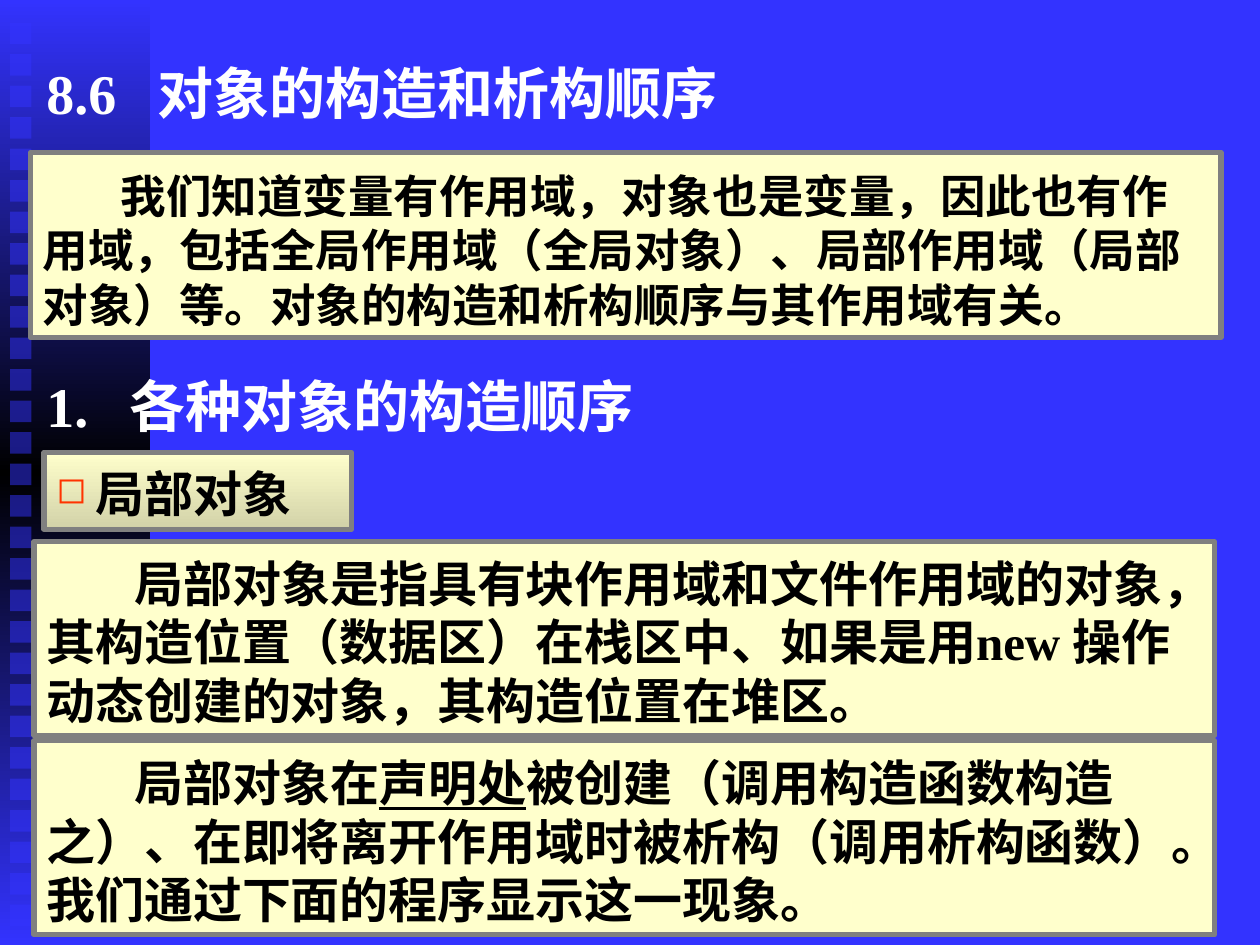
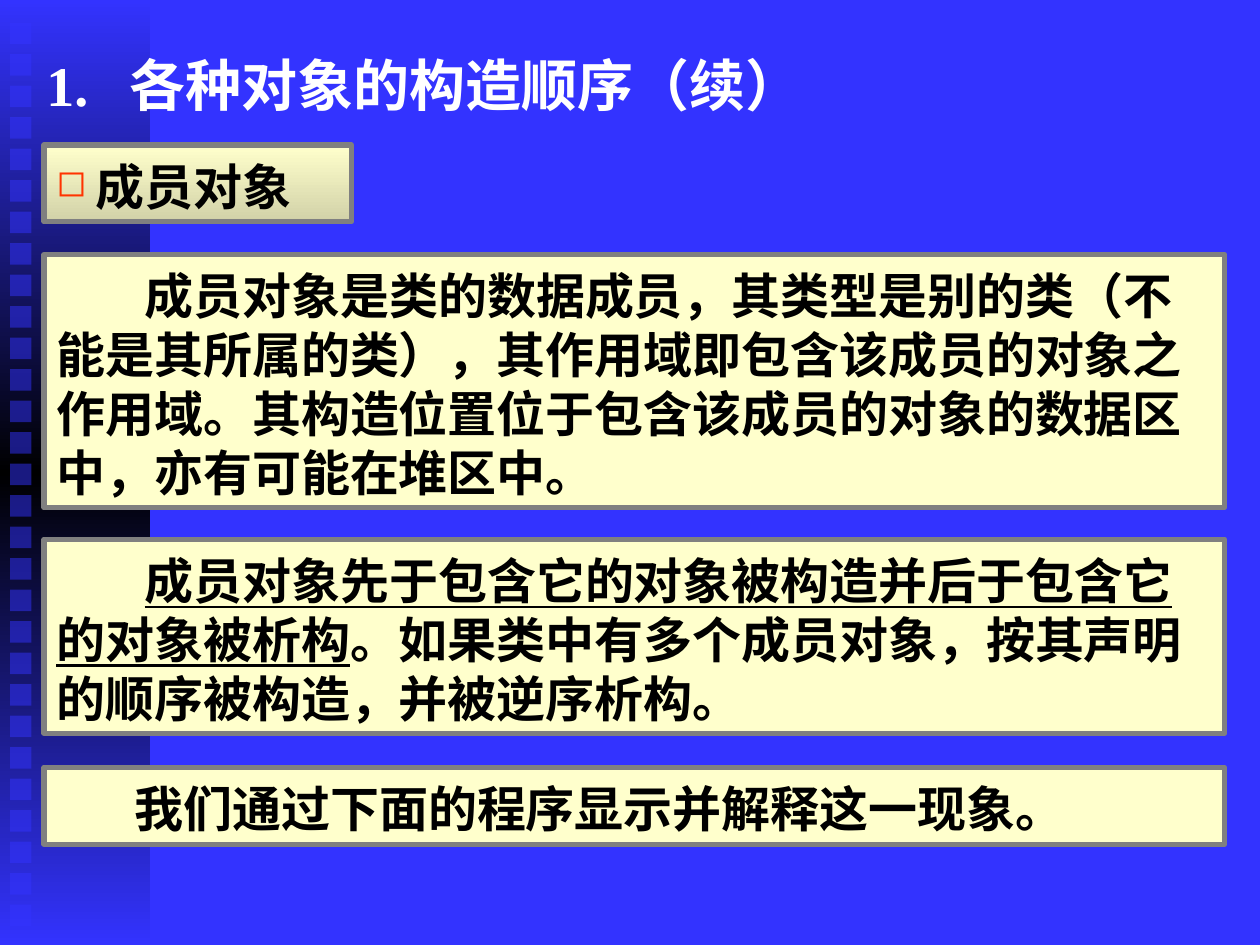
from pptx import Presentation
from pptx.dml.color import RGBColor
from pptx.enum.shapes import MSO_SHAPE
from pptx.enum.text import MSO_ANCHOR, MSO_AUTO_SIZE, PP_ALIGN
from pptx.oxml.ns import qn
from pptx.oxml.xmlchemy import OxmlElement
from pptx.util import Inches, Pt

RECTANGLE = MSO_SHAPE.RECTANGLE
TOP, MIDDLE = MSO_ANCHOR.TOP, MSO_ANCHOR.MIDDLE
FIT_SHAPE = MSO_AUTO_SIZE.SHAPE_TO_FIT_TEXT
LEFT = PP_ALIGN.LEFT

COLORS = {
    "blue": "3333FF",
    "black": "000000",
    "white": "FFFFFF",
    "cream": "FFFFCC",
    "khaki": "D2D2A8",
    "gray": "808080",
    "bullet": "FF3300",
}
FONT = "Times New Roman"
BOX_WIDTH = 9.37
THREE_LINES = 1.54


def rgb(name):
    return RGBColor.from_string(COLORS[name])


def add_child(parent, tag, **attributes):
    child = OxmlElement(tag)
    for key, value in attributes.items():
        child.set(key, str(value))
    parent.append(child)
    return child


def fill_gradient(shape, names):
    shape.fill.gradient()
    shape.fill.gradient_angle = 270
    stops = shape._element.spPr.find(".//" + qn("a:gsLst"))
    for stop in list(stops):
        stops.remove(stop)
    for i, name in enumerate(names):
        stop = add_child(stops, "a:gs", pos=100000 * i // (len(names) - 1))
        add_child(stop, "a:srgbClr", val=COLORS[name])


def add_rectangle(shapes, left, top, width, height):
    rectangle = shapes.add_shape(
        RECTANGLE, Inches(left), Inches(top), Inches(width), Inches(height))
    rectangle.shadow.inherit = False
    return rectangle


def add_side_band(slide):
    band = slide.shapes.add_group_shape().shapes
    strip = add_rectangle(band, 0, 0, 1.19, 7.5)
    fill_gradient(strip, ["blue", "black", "blue"])
    strip.line.fill.background()
    for i in range(29):
        square = add_rectangle(band, 0.08, 0.18 + 0.25 * i, 0.17, 0.17)
        square.fill.solid()
        square.fill.fore_color.rgb = rgb("blue")
        color = square._element.spPr.find(".//" + qn("a:srgbClr"))
        add_child(color, "a:alpha", val=50000)
        square.line.fill.background()


def style_paragraph(paragraph, size, color):
    paragraph.alignment = LEFT
    paragraph.font.name = FONT
    paragraph.font.size = Pt(size)
    paragraph.font.bold = True
    paragraph.font.color.rgb = rgb(color)


def add_heading(slide, top, number, text, tab):
    heading = slide.shapes.add_textbox(
        Inches(0.27), Inches(top), Inches(BOX_WIDTH), Inches(0.91))
    frame = heading.text_frame
    frame.word_wrap = True
    frame.vertical_anchor = MIDDLE
    paragraph = frame.paragraphs[0]
    paragraph.text = f"{number}\t{text}"
    tabs = add_child(paragraph._p.get_or_add_pPr(), "a:tabLst")
    add_child(tabs, "a:tab", pos=Inches(tab), algn="l")
    style_paragraph(paragraph, 32, "white")


def add_framed_box(slide, left, top, width, height, top_inset=0.09):
    box = add_rectangle(slide.shapes, left, top, width, height)
    box.line.color.rgb = rgb("gray")
    box.line.width = Pt(3)
    frame = box.text_frame
    frame.word_wrap = True
    frame.auto_size = FIT_SHAPE
    frame.vertical_anchor = TOP
    frame.margin_top = Inches(top_inset)
    return box


def add_topic(slide, top, text):
    topic = add_framed_box(slide, 0.35, top, 2.44, 0.61)
    fill_gradient(topic, ["cream", "khaki"])
    paragraph = topic.text_frame.paragraphs[0]
    paragraph.text = text
    properties = paragraph._p.get_or_add_pPr()
    properties.set("marL", str(Inches(0.31)))
    properties.set("indent", str(-Inches(0.31)))
    bullet_color = add_child(properties, "a:buClr")
    add_child(bullet_color, "a:srgbClr", val=COLORS["bullet"])
    add_child(properties, "a:buSzPct", val=75000)
    add_child(properties, "a:buChar", char="◻")
    style_paragraph(topic.text_frame.paragraphs[0], 28, "black")


def add_explanation(slide, left, top, height, parts, width=BOX_WIDTH,
                    size=28, indent=0.7, top_inset=0.09):
    box = add_framed_box(slide, left, top, width, height, top_inset)
    box.fill.solid()
    box.fill.fore_color.rgb = rgb("cream")
    paragraph = box.text_frame.paragraphs[0]
    paragraph._p.get_or_add_pPr().set("indent", str(Inches(indent)))
    for text, underlined in parts:
        run = paragraph.add_run()
        run.text = text
        if underlined:
            run.font.underline = True
    style_paragraph(paragraph, size, "black")


def add_slide(presentation):
    slide = presentation.slides.add_slide(presentation.slide_layouts[6])
    add_side_band(slide)
    return slide


def build_local_objects(presentation):
    slide = add_slide(presentation)
    add_heading(slide, 0.28, "8.6", "对象的构造和析构顺序", 0.88)
    add_heading(slide, 2.76, "1.", "各种对象的构造顺序", 0.66)
    add_explanation(slide, 0.24, 1.21, 1.47, [
        ("我们知道变量有作用域，对象也是变量，因此也有作用域，"
         "包括全局作用域（全局对象）、局部作用域（局部对象）等。"
         "对象的构造和析构顺序与其作用域有关。", False),
    ], width=9.45, size=26, indent=0.62, top_inset=0.12)
    add_topic(slide, 3.59, "局部对象")
    add_explanation(slide, 0.27, 4.3, THREE_LINES, [
        ("局部对象是指具有块作用域和文件作用域的对象，"
         "其构造位置（数据区）在栈区中、如果是用new "
         "操作动态创建的对象，其构造位置在堆区。", False),
    ])
    add_explanation(slide, 0.27, 5.88, THREE_LINES, [
        ("局部对象在", False),
        ("声明处", True),
        ("被创建（调用构造函数构造之）、在即将离开作用域时被析构"
         "（调用析构函数）。我们通过下面的程序显示这一现象。", False),
    ])


def build_member_objects(presentation):
    slide = add_slide(presentation)
    add_heading(slide, 0.21, "1.", "各种对象的构造顺序（续）", 0.66)
    add_topic(slide, 1.15, "成员对象")
    add_explanation(slide, 0.35, 2.02, 2.01, [
        ("成员对象是类的数据成员，其类型是别的类（不能是其所属的类），"
         "其作用域即包含该成员的对象之作用域。"
         "其构造位置位于包含该成员的对象的数据区中，"
         "亦有可能在堆区中。", False),
    ])
    add_explanation(slide, 0.35, 4.28, THREE_LINES, [
        ("成员对象先于包含它的对象被构造并后于包含它的对象被析构", True),
        ("。如果类中有多个成员对象，按其声明的顺序被构造，"
         "并被逆序析构。", False),
    ])
    add_explanation(slide, 0.35, 6.09, 0.61, [
        ("我们通过下面的程序显示并解释这一现象。", False),
    ], indent=0.62)


def main():
    presentation = Presentation()
    presentation.slide_width = Inches(10)
    presentation.slide_height = Inches(7.5)
    background = presentation.slide_master.background.fill
    background.solid()
    background.fore_color.rgb = rgb("blue")
    build_local_objects(presentation)
    build_member_objects(presentation)
    presentation.save("out.pptx")


if __name__ == "__main__":
    main()
